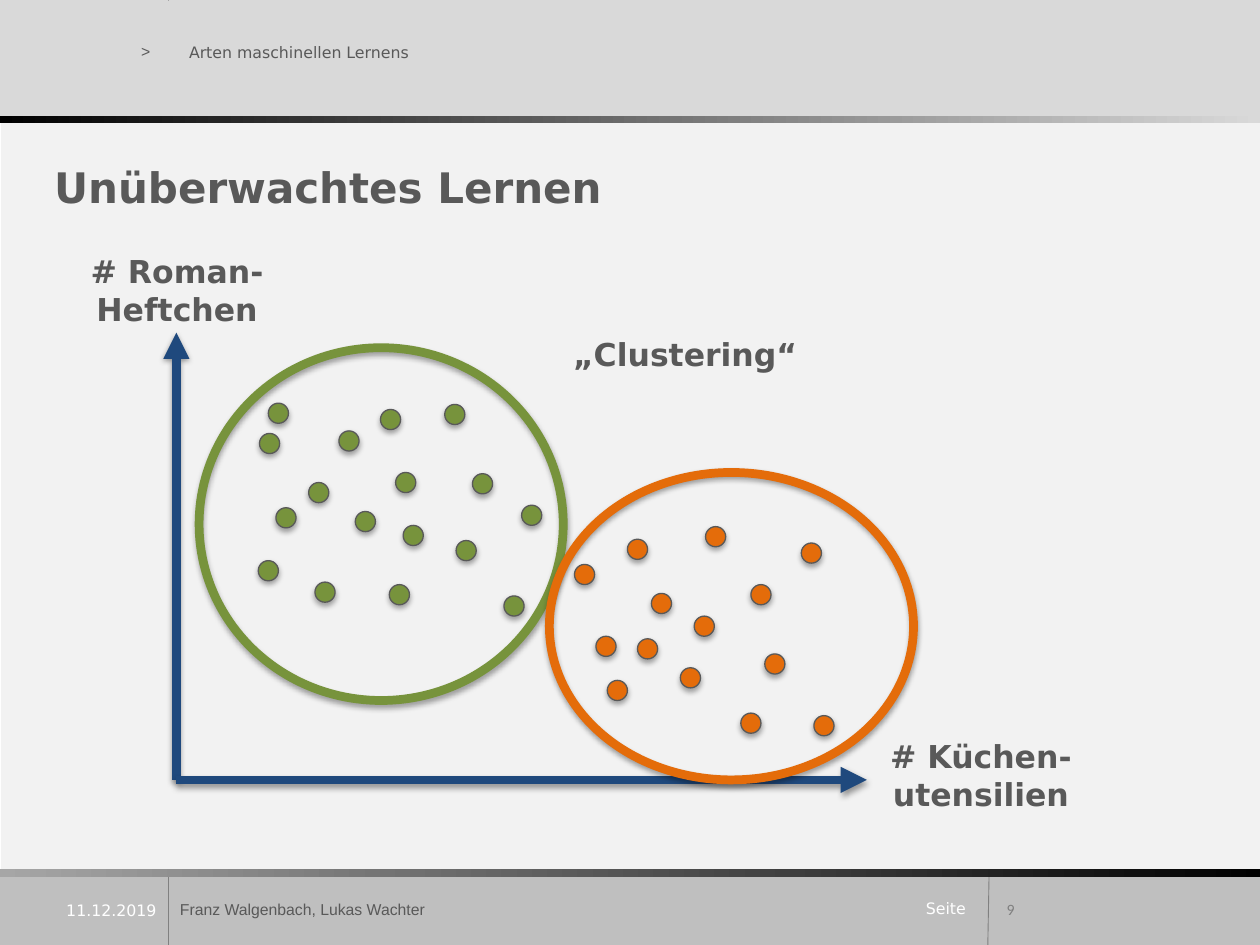
from lxml import etree
from pptx import Presentation
from pptx.dml.color import RGBColor
from pptx.enum.shapes import MSO_CONNECTOR, MSO_SHAPE
from pptx.enum.text import MSO_ANCHOR, MSO_AUTO_SIZE, PP_ALIGN
from pptx.oxml.ns import qn
from pptx.util import Inches, Pt

RECTANGLE, OVAL = MSO_SHAPE.RECTANGLE, MSO_SHAPE.OVAL
STRAIGHT = MSO_CONNECTOR.STRAIGHT
TOP, MIDDLE = MSO_ANCHOR.TOP, MSO_ANCHOR.MIDDLE
LEFT, CENTER, RIGHT = PP_ALIGN.LEFT, PP_ALIGN.CENTER, PP_ALIGN.RIGHT
NO_AUTOFIT = MSO_AUTO_SIZE.NONE

BLACK = RGBColor(0x00, 0x00, 0x00)
WHITE = RGBColor(0xFF, 0xFF, 0xFF)
TEXT_GRAY = RGBColor(0x59, 0x59, 0x59)
NUMBER_GRAY = RGBColor(0x7F, 0x7F, 0x7F)
RULE_GRAY = RGBColor(0x80, 0x80, 0x80)
MID_GRAY = RGBColor(0xA6, 0xA6, 0xA6)
FOOTER_GRAY = RGBColor(0xBF, 0xBF, 0xBF)
HEADER_GRAY = RGBColor(0xD9, 0xD9, 0xD9)
BODY_GRAY = RGBColor(0xF2, 0xF2, 0xF2)
BLUE = RGBColor(0x1F, 0x49, 0x7D)
GREEN = RGBColor(0x77, 0x93, 0x3C)
ORANGE = RGBColor(0xE4, 0x6C, 0x0A)

MAIN_FONT = "DejaVu Sans"
DOT_SIZE = 0.16

# Boxes are left, top, width, height; lines are x1, y1, x2, y2 (inches)
PANELS = [
    ((0, 0, 10, 0.92), HEADER_GRAY),
    ((0.01, 0.93, 10, 5.98), BODY_GRAY),
    ((0, 6.93, 10, 0.57), FOOTER_GRAY),
]
RULES = [
    ((1.34, 0, 1.34, 0.93), MID_GRAY),
    ((1.34, 6.93, 1.34, 7.5), RULE_GRAY),
    ((7.85, 6.93, 7.84, 7.5), RULE_GRAY),
    ((1.34, 0.01, 1.34, 0.93), HEADER_GRAY),
]
GRADIENT_BARS = [
    ((0, 0.92, 10, 0.06), (BLACK, HEADER_GRAY)),
    ((0, 6.9, 10.01, 0.06), (MID_GRAY, BLACK)),
]
FOOTER_TEXTS = [
    ("Seite", (7.25, 7.08, 0.57, 0.25), dict(color=WHITE)),
    ("Franz Walgenbach, Lukas Wachter", (1.33, 7.02, 5.92, 0.4),
     dict(font="Arial", anchor=MIDDLE)),
    ("9", (7.89, 7.02, 1.61, 0.4),
     dict(font="Calibri", color=NUMBER_GRAY, anchor=MIDDLE)),
    ("11.12.2019", (0.33, 7.03, 1.01, 0.39),
     dict(color=WHITE, align=RIGHT, anchor=MIDDLE)),
]
BREADCRUMB = ("Arten maschinellen Lernens", (1.02, 0.29, 3.32, 0.75))
TITLE = ("Unüberwachtes Lernen", (0.33, 1.23, 7.92, 0.6))
AXES = [(1.4, 6.19, 1.4, 2.64), (1.4, 6.19, 6.88, 6.19)]
CLUSTERS = [
    (GREEN, (1.58, 2.76, 2.89, 2.8), [
        (2.13, 3.2), (2.06, 3.44), (2.69, 3.42), (2.19, 4.03), (2.45, 3.83),
        (3.14, 3.75), (2.82, 4.06), (2.5, 4.62), (3.62, 4.29), (3.53, 3.21),
        (3.2, 4.17), (3.02, 3.25), (3.75, 3.76), (3.09, 4.64), (2.05, 4.45),
        (4, 4.73), (4.14, 4.01)]),
    (ORANGE, (4.36, 3.75, 2.89, 2.44), [
        (4.73, 5.05), (5.06, 5.07), (4.82, 5.4), (5.51, 4.89), (5.4, 5.3),
        (5.17, 4.71), (6.07, 5.19), (5.88, 5.66), (4.98, 4.28), (4.56, 4.48),
        (5.96, 4.64), (5.6, 4.18), (6.46, 5.68), (6.36, 4.31)]),
]
LABELS = [
    ("„Clustering“", (4.45, 2.61, 2.86, 0.4), LEFT),
    ("# Roman-Heftchen", (0.41, 1.95, 1.99, 0.71), CENTER),
    ("# Küchen-\vutensilien", (6.79, 5.8, 1.99, 0.71), CENTER),
]


def inches(values):
    return [Inches(value) for value in values]


def write(shape, text, size=9, font=MAIN_FONT, color=TEXT_GRAY, bold=False,
          align=LEFT, anchor=TOP, bullet=None):
    frame = shape.text_frame
    frame.word_wrap = True
    frame.auto_size = NO_AUTOFIT
    frame.vertical_anchor = anchor
    frame.text = text
    paragraph = frame.paragraphs[0]
    paragraph.alignment = align
    paragraph.space_before = Pt(0)
    if bullet:
        properties = paragraph._p.get_or_add_pPr()
        properties.set("marL", str(Inches(0.38)))
        properties.set("indent", str(-Inches(0.38)))
        etree.SubElement(properties, qn("a:buChar"), char=bullet)
    for run in paragraph.runs:
        run.font.name = font
        run.font.size = Pt(size)
        run.font.bold = bold
        run.font.color.rgb = color
    if bullet:
        paragraph.font.size = Pt(size)


def add_text(slide, text, box, **style):
    write(slide.shapes.add_textbox(*inches(box)), text, **style)


def place(slide, placeholder, text, box, **style):
    """Position a placeholder in front of the panels and fill it."""
    placeholder.left, placeholder.top, placeholder.width, placeholder.height = inches(box)
    write(placeholder, text, **style)
    slide.shapes._spTree.append(placeholder._element)


def set_shadow(shape, opacity=0, distance=0):
    """Give a soft shadow below the shape, or none when opacity is 0."""
    effects = etree.SubElement(shape._element.spPr, qn("a:effectLst"))
    if opacity:
        shadow = etree.SubElement(
            effects, qn("a:outerShdw"), blurRad=str(Pt(3.1)),
            dist=str(Pt(distance)), dir="5400000", rotWithShape="0")
        color = etree.SubElement(shadow, qn("a:srgbClr"), val=str(BLACK))
        etree.SubElement(color, qn("a:alpha"), val=str(opacity * 1000))


def add_shape(slide, kind, box, fill=None, gradient=None, line=None, width=0.75):
    shape = slide.shapes.add_shape(kind, *inches(box))
    if gradient:
        shape.fill.gradient()
        shape.fill.gradient_angle = 0
        for stop, color in zip(shape.fill.gradient_stops, gradient):
            stop.color.rgb = color
    elif fill is not None:
        shape.fill.solid()
        shape.fill.fore_color.rgb = fill
    else:
        shape.fill.background()
    if line is None:
        shape.line.fill.background()
        set_shadow(shape)
    else:
        shape.line.color.rgb = line
        shape.line.width = Pt(width)
        set_shadow(shape, opacity=35, distance=1.8)


def add_line(slide, ends, color, width=0.5, arrow=False):
    line = slide.shapes.add_connector(STRAIGHT, *inches(ends))
    line.line.color.rgb = color
    line.line.width = Pt(width)
    if arrow:
        etree.SubElement(line.line._get_or_add_ln(), qn("a:tailEnd"), type="triangle")
        set_shadow(line, opacity=38, distance=1.6)
    else:
        set_shadow(line)


def main():
    presentation = Presentation()
    presentation.slide_width, presentation.slide_height = Inches(10), Inches(7.5)
    slide = presentation.slides.add_slide(presentation.slide_layouts[1])

    for box, color in PANELS:
        add_shape(slide, RECTANGLE, box, fill=color)
    for ends, color in RULES:
        add_line(slide, ends, color)
    for box, colors in GRADIENT_BARS:
        add_shape(slide, RECTANGLE, box, gradient=colors)

    place(slide, slide.placeholders[1], *BREADCRUMB, bullet=">")
    for text, box, style in FOOTER_TEXTS:
        add_text(slide, text, box, **style)
    place(slide, slide.shapes.title, *TITLE, size=24, bold=True)

    for ends in AXES:
        add_line(slide, ends, BLUE, width=5, arrow=True)
    for color, outline, dots in CLUSTERS:
        for left, top in dots:
            add_shape(slide, OVAL, (left, top, DOT_SIZE, DOT_SIZE),
                      fill=color, line=TEXT_GRAY)
        add_shape(slide, OVAL, outline, line=color, width=5)
    for text, box, align in LABELS:
        add_text(slide, text, box, size=18, bold=True, align=align)

    presentation.save("out.pptx")


if __name__ == "__main__":
    main()
